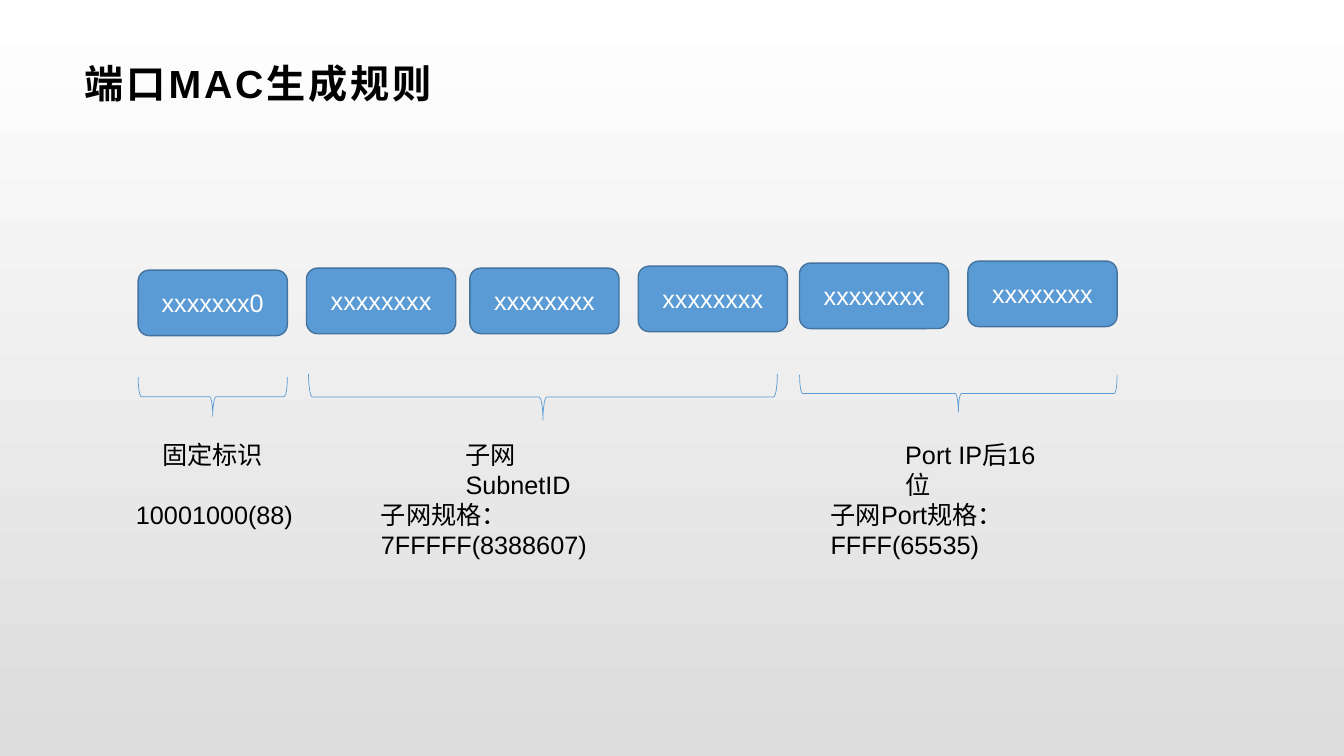
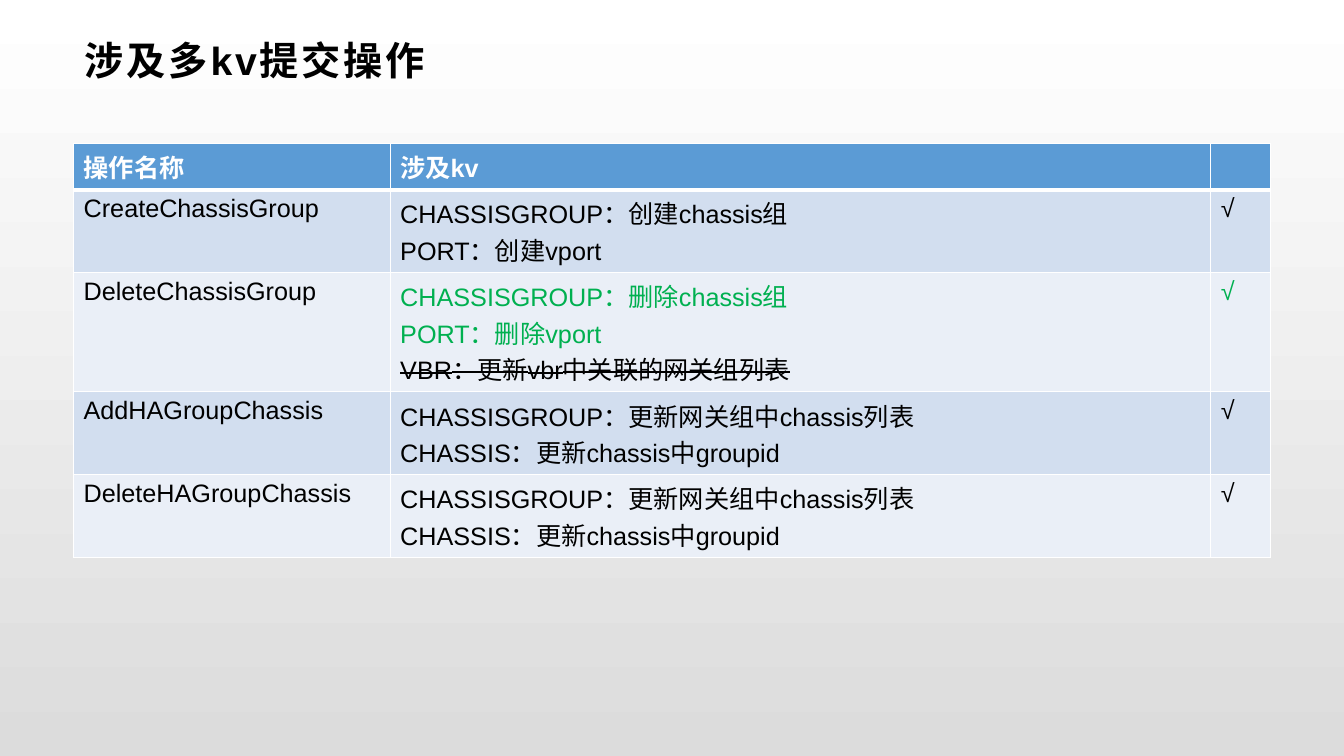
from dataclasses import dataclass

from lxml.etree import SubElement
from pptx import Presentation
from pptx.dml.color import RGBColor
from pptx.enum.shapes import MSO_SHAPE
from pptx.enum.text import MSO_ANCHOR, MSO_AUTO_SIZE, PP_ALIGN
from pptx.oxml.ns import qn
from pptx.util import Inches, Pt


@dataclass(frozen=True)
class Theme:
    font: str = "Arial"
    title: int = 28
    body: int = 18
    leading: int = 26
    ink: str = "000000"
    white: str = "FFFFFF"
    grey: str = "DCDCDC"
    blue: str = "5B9BD5"
    edge: str = "43739E"
    green: str = "00B050"
    bands: tuple = ("D2DEEF", "EAEFF7")


T = Theme()
LEFT, WIDTH = 0.73, 11.87

# Slide 1: one byte per box, one brace and two labels per group
BYTE_SIZE = (1.48, 0.65)
BYTES = [
    ("xxxxxxx0", 1.37, 2.68), ("xxxxxxxx", 3.04, 2.66),
    ("xxxxxxxx", 4.66, 2.66), ("xxxxxxxx", 6.33, 2.64),
    ("xxxxxxxx", 7.93, 2.61), ("xxxxxxxx", 9.6, 2.59),
]
BRACES = [(1.37, 3.74, 1.48, 0.39), (3.06, 3.71, 4.65, 0.46),
          (7.93, 3.72, 3.15, 0.37)]
NAME_TOP, RANGE_TOP = 4.31, 4.9
LABELS = [
    ("固定标识", 1.51, NAME_TOP, 1.3),
    ("子网SubnetID", 4.52, NAME_TOP, 1.7),
    ("Port IP后16位", 8.88, NAME_TOP, 1.7),
    ("10001000(88)", 1.25, RANGE_TOP, 1.88),
    ("子网规格：7FFFFF(8388607)", 3.68, RANGE_TOP, 3.2),
    ("子网Port规格：FFFF(65535)", 8.14, RANGE_TOP, 3.2),
]

# Slide 2: operation, lines of (text, colour, struck), colour of the tick
COLS = (3.14, 8.14, 0.59)
HEADER = ("操作名称", "涉及kv", "")
CHASSIS_UPDATE = [("CHASSISGROUP：更新网关组中chassis列表", T.ink, False),
                  ("CHASSIS：更新chassis中groupid", T.ink, False)]
OPERATIONS = [
    ("CreateChassisGroup",
     [("CHASSISGROUP：创建chassis组", T.ink, False),
      ("PORT：创建vport", T.ink, False)], T.ink),
    ("DeleteChassisGroup",
     [("CHASSISGROUP：删除chassis组", T.green, False),
      ("PORT：删除vport", T.green, False),
      ("VBR：更新vbr中关联的网关组列表", T.ink, True)], T.green),
    ("AddHAGroupChassis", CHASSIS_UPDATE, T.ink),
    ("DeleteHAGroupChassis", CHASSIS_UPDATE, T.ink),
]


def rgb(value):
    return RGBColor.from_string(value)


def style(p, size=T.body, color=T.ink, bold=False, italic=False):
    for r in p.runs:
        f = r.font
        f.name, f.size, f.bold, f.italic = T.font, Pt(size), bold, italic
        f.color.rgb = rgb(color)


def east_asian(p):
    for r in p.runs:
        SubElement(r.font._element, qn("a:ea")).set("typeface", T.font)


def add_slide(prs, title, top):
    s = prs.slides.add_slide(prs.slide_layouts[5])
    sp = s.shapes.title
    sp.left, sp.top, sp.width, sp.height = map(
        Inches, (LEFT, top, WIDTH, 0.71))
    tf = sp.text_frame
    tf.text = title
    tf.vertical_anchor = MSO_ANCHOR.MIDDLE
    tf.margin_left, tf.margin_right = Inches(0.11), Inches(0.08)
    tf.margin_top = tf.margin_bottom = Inches(0.04)
    p = tf.paragraphs[0]
    p.alignment = PP_ALIGN.LEFT
    style(p, T.title, bold=True)
    for r in p.runs:
        r.font._element.set("spc", "200")
    return s


def add_byte(s, text, x, y):
    sp = s.shapes.add_shape(MSO_SHAPE.ROUNDED_RECTANGLE,
                            *map(Inches, (x, y, *BYTE_SIZE)))
    sp.shadow.inherit = False
    sp.fill.solid()
    sp.fill.fore_color.rgb = rgb(T.blue)
    sp.line.color.rgb, sp.line.width = rgb(T.edge), Pt(1)
    tf = sp.text_frame
    tf.text = text
    tf.vertical_anchor = MSO_ANCHOR.MIDDLE
    tf.paragraphs[0].alignment = PP_ALIGN.CENTER
    style(tf.paragraphs[0], color=T.white)


def add_brace(s, x, y, w, h):
    # A quarter turn about the centre swaps width and height
    sp = s.shapes.add_shape(MSO_SHAPE.RIGHT_BRACE, Inches(x + (w - h) / 2),
                            Inches(y + (h - w) / 2), Inches(h), Inches(w))
    sp.rotation = 90
    sp.shadow.inherit = False
    sp.fill.background()
    sp.line.color.rgb, sp.line.width = rgb(T.blue), Pt(0.5)


def add_label(s, text, x, y, w):
    tf = s.shapes.add_textbox(*map(Inches, (x, y, w, 0.4))).text_frame
    tf.word_wrap = True
    tf.auto_size = MSO_AUTO_SIZE.SHAPE_TO_FIT_TEXT
    tf.text = text
    style(tf.paragraphs[0])
    east_asian(tf.paragraphs[0])


def paint_cell(cell, fill, bottom=1):
    tcPr = cell._tc.get_or_add_tcPr()
    for side, width in (("L", 1), ("R", 1), ("T", 1), ("B", bottom)):
        ln = SubElement(tcPr, qn("a:ln" + side), w=str(Pt(width)))
        SubElement(SubElement(ln, qn("a:solidFill")),
                   qn("a:srgbClr"), val=T.white)
    cell.fill.solid()
    cell.fill.fore_color.rgb = rgb(fill)


def add_operations(s):
    # Row height follows the number of lines
    heights = [0.1 + 0.36 * n for n in
               [1] + [len(lines) for _, lines, _ in OPERATIONS]]
    table = s.shapes.add_table(
        len(heights), len(COLS),
        *map(Inches, (LEFT, 1.42, WIDTH, sum(heights)))).table
    for col, w in zip(table.columns, COLS):
        col.width = Inches(w)
    for row, h in zip(table.rows, heights):
        row.height = Inches(h)

    # Header
    for cell, text in zip(table.rows[0].cells, HEADER):
        paint_cell(cell, T.blue, bottom=3)
        if text:
            cell.text = text
            p = cell.text_frame.paragraphs[0]
            p.line_spacing = Pt(T.leading)
            style(p, color=T.white, bold=True)

    # Operations
    for i, (name, lines, tick) in enumerate(OPERATIONS):
        cells = [table.cell(i + 1, c) for c in range(len(COLS))]
        for cell in cells:
            paint_cell(cell, T.bands[i % 2])
        cells[0].text = name
        style(cells[0].text_frame.paragraphs[0])
        cells[1].text = "\n".join(text for text, _, _ in lines)
        for p, (_, color, struck) in zip(cells[1].text_frame.paragraphs, lines):
            p.line_spacing = Pt(T.leading)
            style(p, color=color)
            if struck:
                p.runs[0].font._element.set("strike", "sngStrike")
        cells[2].text = "√"
        p = cells[2].text_frame.paragraphs[0]
        style(p, color=tick, italic=True)
        east_asian(p)


def main():
    prs = Presentation()
    prs.slide_width, prs.slide_height = Inches(13.33), Inches(7.5)

    # Shared background
    fill = prs.slide_master.background.fill
    fill.gradient()
    fill.gradient_angle = 270
    for stop, color, pos in zip(fill.gradient_stops, (T.white, T.grey), (0, 1)):
        stop.color.rgb, stop.position = rgb(color), pos

    s = add_slide(prs, "端口MAC生成规则", 0.47)
    for byte in BYTES:
        add_byte(s, *byte)
    for brace in BRACES:
        add_brace(s, *brace)
    for label in LABELS:
        add_label(s, *label)

    s = add_slide(prs, "涉及多kv提交操作", 0.24)
    add_operations(s)
    prs.save("out.pptx")


if __name__ == "__main__":
    main()
